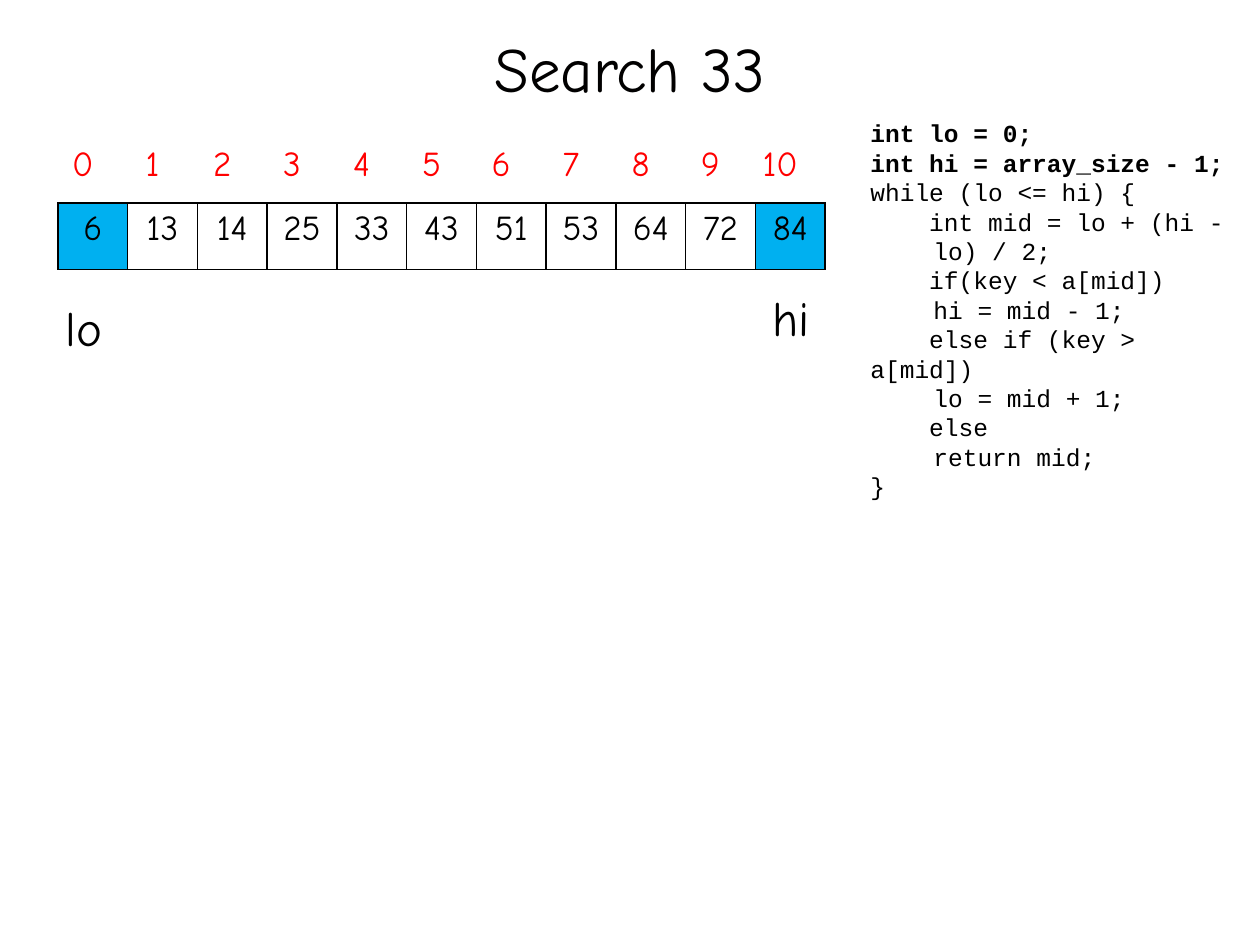
from lxml.etree import SubElement
from pptx import Presentation
from pptx.dml.color import RGBColor
from pptx.enum.text import MSO_ANCHOR, PP_ALIGN
from pptx.oxml.ns import qn
from pptx.util import Inches, Pt

BLACK = RGBColor(0x00, 0x00, 0x00)
TITLE_BLACK = RGBColor(0x01, 0x00, 0x00)
RED = RGBColor(0xFF, 0x00, 0x00)
BLUE = RGBColor(0x00, 0xB0, 0xF0)
NO_STYLE = "{2D5ABB26-0587-4C30-8999-92F81FD0307C}"

VALUES = [6, 13, 14, 25, 33, 43, 51, 53, 64, 72, 84]
TABLE_WIDTH = 6.09
ROW_HEIGHT = 0.53
LAST = len(VALUES) - 1

CODE = [
    "int lo = 0;",
    "int hi = array_size - 1;",
    "while (lo <= hi) {",
    "    int mid = lo + (hi - \tlo) / 2;",
    "    if(key < a[mid]) \n\thi = mid - 1;",
    "    else if (key > a[mid]) \n\tlo = mid + 1;",
    "    else \n\treturn mid;",
    "}",
]


def write(paragraph, text, size=20, font="Comic Neue", color=BLACK, bold=False, align=PP_ALIGN.LEFT):
    paragraph.text = text
    paragraph.alignment = align
    for run in paragraph.runs:
        run.font.size = Pt(size)
        run.font.name = font
        run.font.color.rgb = color
        run.font.bold = bold


presentation = Presentation()
presentation.slide_width = Inches(10)
presentation.slide_height = Inches(7.5)
slide = presentation.slides.add_slide(presentation.slide_layouts[6])

title = slide.shapes.add_textbox(0, Inches(0.17), presentation.slide_width, Inches(0.88)).text_frame
title.word_wrap = True
title.vertical_anchor = MSO_ANCHOR.MIDDLE
write(title.paragraphs[0], "Search 33", size=36, color=TITLE_BLACK, align=PP_ALIGN.CENTER)
title.paragraphs[0].line_spacing = 0.7

code = slide.shapes.add_textbox(Inches(6.81), Inches(0.89), Inches(3.07), Inches(2.93)).text_frame
code.word_wrap = True
for number, line in enumerate(CODE):
    paragraph = code.add_paragraph() if number else code.paragraphs[0]
    write(paragraph, line, size=14, font="Courier New", bold=number < 2)

for left, top, numbers, color, bordered in [
    (0.46, 1.61, VALUES, BLACK, True),
    (0.38, 1.10, range(len(VALUES)), RED, False),
]:
    table = slide.shapes.add_table(
        1, len(VALUES), Inches(left), Inches(top), Inches(TABLE_WIDTH), Inches(ROW_HEIGHT)
    ).table
    table.first_row = False
    table.horz_banding = False
    table._tbl.tblPr.find(qn("a:tableStyleId")).text = NO_STYLE
    for column, number in enumerate(numbers):
        table.columns[column].width = Inches(TABLE_WIDTH / len(VALUES))
        cell = table.cell(0, column)
        write(cell.text_frame.paragraphs[0], str(number), color=color, align=PP_ALIGN.CENTER)
        if bordered:
            for side in ("a:lnL", "a:lnR", "a:lnT", "a:lnB"):
                border = SubElement(cell._tc.get_or_add_tcPr(), qn(side), w=str(Pt(1)))
                SubElement(SubElement(border, qn("a:solidFill")), qn("a:srgbClr"), val=str(BLACK))
        if bordered and column in (0, LAST):
            cell.fill.solid()
            cell.fill.fore_color.rgb = BLUE
        else:
            cell.fill.background()

for label, left, top in [("lo", 0.42, 2.31), ("hi", 6.03, 2.23)]:
    pointer = slide.shapes.add_textbox(Inches(left), Inches(top), Inches(0.54), Inches(0.57)).text_frame
    pointer.word_wrap = True
    write(pointer.paragraphs[0], label, size=28)

presentation.save("out.pptx")
